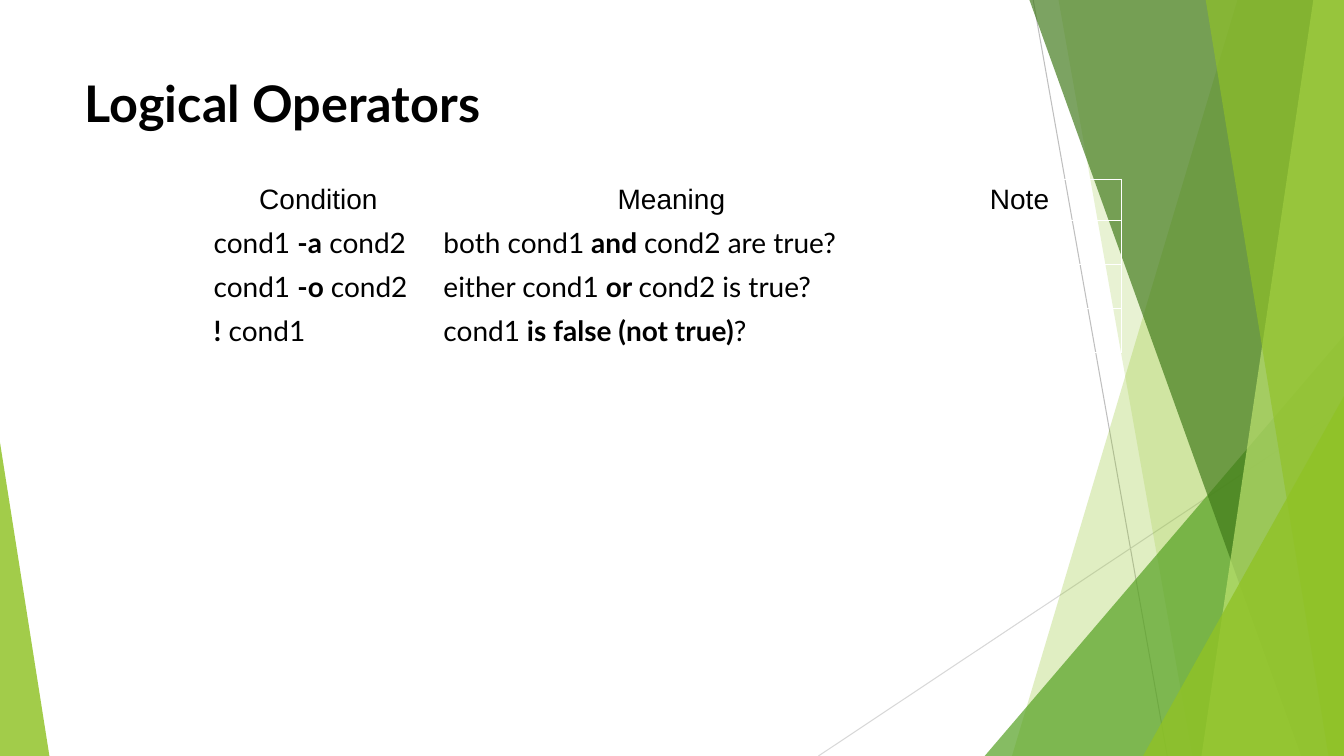
import pptx
import pptx.util
import pptx.dml.color
import pptx.enum.shapes
import pptx.enum.text
import pptx.oxml
import pptx.oxml.ns
from lxml import etree

Pt = pptx.util.Pt
WIDTH, HEIGHT = 960, 540
TITLE = "Logical Operators"
HEADERS = ["Condition", "Meaning ", "Note"]
ROWS = [
    [["cond1 ", "-a", " cond2"], ["both cond1", " and ", "cond2 are true?"]],
    [["cond1 ", "-o ", "cond2"], ["either cond1", " or ", "cond2 is true?"]],
    [["", "!", " cond1"], ["cond1", " is false (not true)", "?"]],
]
COLUMN_WIDTHS = [164.2, 345.6, 146.2]
ROW_HEIGHT = 29.5
LINES = [
    (738, 0, 833.8, 540, "BFBFBF"),
    (960, 290.2, 584.6, 540, "D8D8D8"),
]
FACETS = [
    ("band", (884.2, 722.9), "90C226", 28),
    ("band", (756, 851.8), "90C226", 20),
    ("triangle", (703.4, 239.8, 960, 1), "54A021", 70),
    ("band", (735.1, 929.5), "3F7818", 68),
    ("band", (938.2, 858.2), "BFE471", 68),
    ("band", (861.1, 949), "90C226", 63),
    ("triangle", (816.5, 283, 960, 1), "90C226", 80),
    ("triangle", (0, 316.1, 35.3, 0), "90C226", 83),
]


def rgb(color):
    return pptx.dml.color.RGBColor.from_string(color)


def add_text(p, text, font="Lato", size=20, bold=False, color="000000"):
    r = p.add_run()
    r.text = text
    r.font.name = font
    r.font.size = Pt(size)
    r.font.bold = bold
    r.font.color.rgb = rgb(color)


def add_line(s, x1, y1, x2, y2, color):
    line = s.shapes.add_connector(
        pptx.enum.shapes.MSO_CONNECTOR.STRAIGHT, Pt(x1), Pt(y1), Pt(x2), Pt(y2))
    line.line.color.rgb = rgb(color)
    line.line.width = Pt(0.75)
    etree.SubElement(line._element.spPr, pptx.oxml.ns.qn("a:effectLst"))


def add_facet(s, kind, place, color, opacity):
    if kind == "band":
        top_x, bottom_x = place
        builder = s.shapes.build_freeform(Pt(top_x), Pt(-0.7))
        corners = [(WIDTH, -0.7), (WIDTH, HEIGHT), (bottom_x, HEIGHT)]
        builder.add_line_segments([(Pt(x), Pt(y)) for x, y in corners], close=True)
        sp = builder.convert_to_shape()
    else:
        left, top, right, apex = place
        sp = s.shapes.add_shape(
            pptx.enum.shapes.MSO_SHAPE.ISOSCELES_TRIANGLE,
            Pt(left), Pt(top), Pt(right - left), Pt(HEIGHT - top))
        sp.adjustments[0] = apex
    sp.shadow.inherit = False
    sp.line.fill.background()
    sp.fill.solid()
    sp.fill.fore_color.rgb = rgb(color)
    fill = sp._element.spPr.find(".//" + pptx.oxml.ns.qn("a:srgbClr"))
    etree.SubElement(fill, pptx.oxml.ns.qn("a:alpha"), val=str(opacity * 1000))


def add_title(s):
    title = s.shapes.title
    title.left, title.top, title.width, title.height = Pt(53.3), Pt(48.2), Pt(676.8), Pt(103.7)
    tf = title.text_frame
    tf.word_wrap = True
    tf.vertical_anchor = pptx.enum.text.MSO_ANCHOR.TOP
    p = tf.paragraphs[0]
    p.alignment = pptx.enum.text.PP_ALIGN.LEFT
    add_text(p, TITLE, size=36, bold=True)


def add_operators(s):
    count = len(ROWS) + 1
    table = s.shapes.add_table(
        count, len(HEADERS), Pt(145.4), Pt(128.2),
        Pt(sum(COLUMN_WIDTHS)), Pt(count * ROW_HEIGHT)).table
    table.first_row = False
    table.horz_banding = False
    for column, width in zip(table.columns, COLUMN_WIDTHS):
        column.width = Pt(width)
    for cell in table.iter_cells():
        cell.fill.background()
    for c, header in enumerate(HEADERS):
        p = table.cell(0, c).text_frame.paragraphs[0]
        p.alignment = pptx.enum.text.PP_ALIGN.CENTER
        add_text(p, header, font="Arial")
    for r, row in enumerate(ROWS, 1):
        for c, parts in enumerate(row):
            p = table.cell(r, c).text_frame.paragraphs[0]
            for i, part in enumerate(parts):
                if part:
                    add_text(p, part, bold=i == 1)


def main():
    prs = pptx.Presentation()
    prs.slide_width, prs.slide_height = Pt(WIDTH), Pt(HEIGHT)
    s = prs.slides.add_slide(prs.slide_layouts[5])
    for line in LINES:
        add_line(s, *line)
    for facet in FACETS:
        add_facet(s, *facet)
    add_title(s)
    add_operators(s)
    prs.save("out.pptx")


if __name__ == "__main__":
    main()
